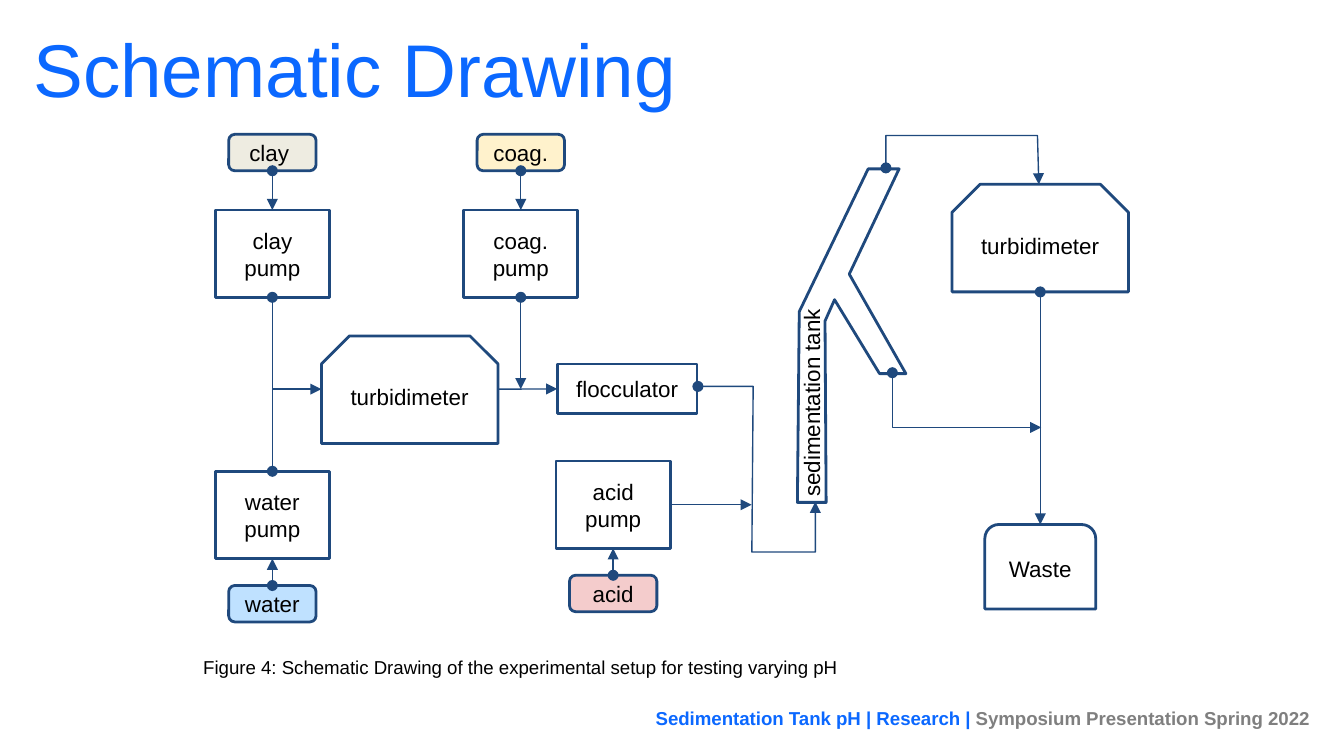
from dataclasses import dataclass
from typing import Optional, Union

from lxml.etree import SubElement
from pptx import Presentation
from pptx.dml.color import RGBColor
from pptx.enum.shapes import MSO_CONNECTOR, MSO_SHAPE
from pptx.enum.text import MSO_ANCHOR, MSO_AUTO_SIZE, PP_ALIGN
from pptx.oxml.ns import qn
from pptx.util import Pt

COLORS = {
    "line": "1F497D", "title": "0B68FF", "grey": "7F7F7F", "text": "000000",
    "white": "FFFFFF", "clay": "EEECE1", "coag": "FFF2CC", "acid": "F4CCCC",
    "water": "BFE1FF",
}
TOP, LEFT, BOTTOM, RIGHT = range(4)
PUMP, TANK, TURBIDIMETER = (61.2, 46.8), (46.8, 19.5), (94.5, 57.6)
CLAY_X, COAG_X, ACID_X, WASTE_X = 145.9, 279, 328.5, 557.3
FLOW_Y = 208.5


@dataclass
class Node:
    text: str
    cx: float
    top: float
    size: tuple[float, float]
    kind: MSO_SHAPE = MSO_SHAPE.RECTANGLE
    fill: Optional[str] = "white"


@dataclass
class Link:
    start: tuple[Union[str, float], float]
    end: tuple[Union[str, float], float]
    head: Optional[str] = "oval"
    tail: str = "triangle"


@dataclass
class Label:
    runs: list[tuple[str, str]]
    box: tuple[float, float, float, float]
    size: float = 10
    inset: tuple[float, float] = (7.2, 7.2)
    align: PP_ALIGN = PP_ALIGN.LEFT
    anchor: MSO_ANCHOR = MSO_ANCHOR.TOP
    bold: bool = False
    grow: bool = False
    spacing: float = 1.0
    rotation: float = 0


ROUND = MSO_SHAPE.ROUNDED_RECTANGLE
SNIP = MSO_SHAPE.SNIP_2_SAME_RECTANGLE
NODES = {
    "clay pump": Node("clay pump", CLAY_X, 112.5, PUMP),
    "coag pump": Node("coag. pump", COAG_X, 112.5, PUMP),
    "acid pump": Node("acid pump", ACID_X, 247, PUMP),
    "water pump": Node("water pump", CLAY_X, 252.5, PUMP),
    "clay": Node("clay ", CLAY_X, 72, TANK, ROUND, "clay"),
    "coag": Node("coag.", COAG_X, 72, TANK, ROUND, "coag"),
    "acid": Node("acid", ACID_X, 308.2, TANK, ROUND, "acid"),
    "water": Node("water", CLAY_X, 313.7, TANK, ROUND, "water"),
    "flocculator": Node("flocculator", 336, 195, (75, 26.7)),
    "inlet meter": Node("turbidimeter", 219.5, 180, TURBIDIMETER, SNIP, None),
    "outlet meter": Node("turbidimeter", WASTE_X, 98.8, TURBIDIMETER, SNIP, None),
    "waste": Node("Waste", WASTE_X, 281, (59.4, 45.2),
                  MSO_SHAPE.ROUND_2_SAME_RECTANGLE, None),
}
LINKS = [
    Link(("clay", BOTTOM), ("clay pump", TOP)),
    Link(("coag", BOTTOM), ("coag pump", TOP)),
    Link(("acid", TOP), ("acid pump", BOTTOM)),
    Link(("water", TOP), ("water pump", BOTTOM)),
    Link(("clay pump", BOTTOM), ("water pump", TOP), tail="oval"),
    Link((CLAY_X, FLOW_Y), (172.2, FLOW_Y), None),
    Link((266.8, FLOW_Y), ("flocculator", LEFT), None),
    Link(("coag pump", BOTTOM), (COAG_X, FLOW_Y)),
    Link(("acid pump", RIGHT), (402.7, 270.4), None),
    Link((WASTE_X, 156.4), (WASTE_X, 281)),
]
TANK_OUTLINE = [(481.7, 90.5), (455, 146.9), (485.3, 200.2), (471.2, 200.2),
                (447.1, 160.6), (442, 172), (442.6, 269.2), (427.2, 269.2),
                (428.2, 167), (465.1, 90.5)]
PIPES = [
    [(373.9, 207), (403.5, 207), (402.8, 295.7), (436.8, 295.7), (436.8, 268.8)],
    [(474.6, 90), (474.6, 72.6), (555.8, 72.6), (556.5, 98.8)],
    [(478.1, 199.7), (478.1, 229), (557.8, 229)],
]
LABELS = [
    Label([("Sedimentation Tank pH | Research | ", "title"),
           ("Symposium Presentation Spring 2022", "grey")],
          (339.8, 375.1, 368.8, 19.4), inset=(7.2, 3.6),
          align=PP_ALIGN.RIGHT, bold=True),
    Label([("Schematic Drawing", "title")], (8.8, 20.9, 387.4, 49), 40,
          (9.1, 9.1), anchor=MSO_ANCHOR.BOTTOM, spacing=0.9),
    Label([("Figure 4: Schematic Drawing of the experimental setup for testing "
            "varying pH", "text")], (101.8, 345.6, 510.5, 26.6), grow=True),
    Label([("sedimentation tank", "text")], (376.6, 200.9, 115.9, 28.8), 12,
          grow=True, rotation=270),
]


def rgb(name: str) -> RGBColor:
    """Look up a named colour."""
    return RGBColor.from_string(COLORS[name])


def style_line(sp, width: float, head: Optional[str] = None,
               tail: Optional[str] = None) -> None:
    """Set line colour, width and end marks."""
    sp.line.color.rgb = rgb("line")
    sp.line.width = Pt(width)
    ln = sp._element.spPr.find(qn("a:ln"))
    for tag, mark in (("a:headEnd", head), ("a:tailEnd", tail)):
        if mark:
            SubElement(ln, qn(tag), type=mark)


def set_insets(tf, x: float, y: float) -> None:
    """Set the text margins and turn wrapping on."""
    tf.word_wrap = True
    tf.margin_left = tf.margin_right = Pt(x)
    tf.margin_top = tf.margin_bottom = Pt(y)


def format_run(r, size: float, color: str, bold: bool = False) -> None:
    """Apply the slide's font to a run."""
    r.font.name = "Arial"
    r.font.size = Pt(size)
    r.font.bold = bold
    r.font.color.rgb = rgb(color)


def add_label(s, label: Label) -> None:
    """Add a text box with one paragraph."""
    sp = s.shapes.add_textbox(*map(Pt, label.box))
    sp.rotation = label.rotation
    tf = sp.text_frame
    set_insets(tf, *label.inset)
    tf.vertical_anchor = label.anchor
    tf.auto_size = MSO_AUTO_SIZE.SHAPE_TO_FIT_TEXT if label.grow else MSO_AUTO_SIZE.NONE
    p = tf.paragraphs[0]
    p.alignment = label.align
    p.line_spacing = label.spacing
    for text, color in label.runs:
        r = p.add_run()
        r.text = text
        format_run(r, label.size, color, label.bold)


def add_node(s, node: Node):
    """Add a labelled apparatus box and return it."""
    w, h = node.size
    sp = s.shapes.add_shape(node.kind, Pt(node.cx - w / 2), Pt(node.top), Pt(w), Pt(h))
    sp.shadow.inherit = False
    if node.kind == SNIP:
        sp.adjustments[0] = 0.26
    if node.fill:
        sp.fill.solid()
        sp.fill.fore_color.rgb = rgb(node.fill)
    else:
        sp.fill.background()
    style_line(sp, 1.5)
    tf = sp.text_frame
    tf.text = node.text
    set_insets(tf, 7.2, 7.2)
    tf.vertical_anchor = MSO_ANCHOR.MIDDLE
    p = tf.paragraphs[0]
    p.alignment = PP_ALIGN.CENTER
    format_run(p.runs[0], 12, "text")
    return sp


def add_path(s, points: list[tuple[float, float]], width: float, close: bool = False,
             head: Optional[str] = None, tail: Optional[str] = None) -> None:
    """Add an unfilled outline or bent pipe."""
    pts = [(Pt(x), Pt(y)) for x, y in points]
    fb = s.shapes.build_freeform(*pts[0])
    fb.add_line_segments(pts[1:], close=close)
    sp = fb.convert_to_shape()
    sp.shadow.inherit = False
    sp.fill.background()
    style_line(sp, width, head, tail)


def add_link(s, link: Link, boxes: dict) -> None:
    """Add a straight line, joined where it names a box side."""
    ends = [(0, 0) if isinstance(e[0], str) else e for e in (link.start, link.end)]
    c = s.shapes.add_connector(MSO_CONNECTOR.STRAIGHT, *(Pt(v) for e in ends for v in e))
    for (name, site), join in ((link.start, c.begin_connect), (link.end, c.end_connect)):
        if isinstance(name, str):
            join(boxes[name], site)
    style_line(c, 0.75, link.head, link.tail)
    SubElement(c._element.spPr, qn("a:effectLst"))


def main() -> None:
    """Build the slide and save it."""
    prs = Presentation()
    prs.slide_width, prs.slide_height = Pt(720), Pt(405)
    s = prs.slides.add_slide(prs.slide_layouts[6])
    add_path(s, TANK_OUTLINE, 1.5, close=True)
    boxes = {name: add_node(s, node) for name, node in NODES.items()}
    for link in LINKS:
        add_link(s, link, boxes)
    for pipe in PIPES:
        add_path(s, pipe, 0.75, head="oval", tail="triangle")
    for label in LABELS:
        add_label(s, label)
    prs.save("out.pptx")


if __name__ == "__main__":
    main()
